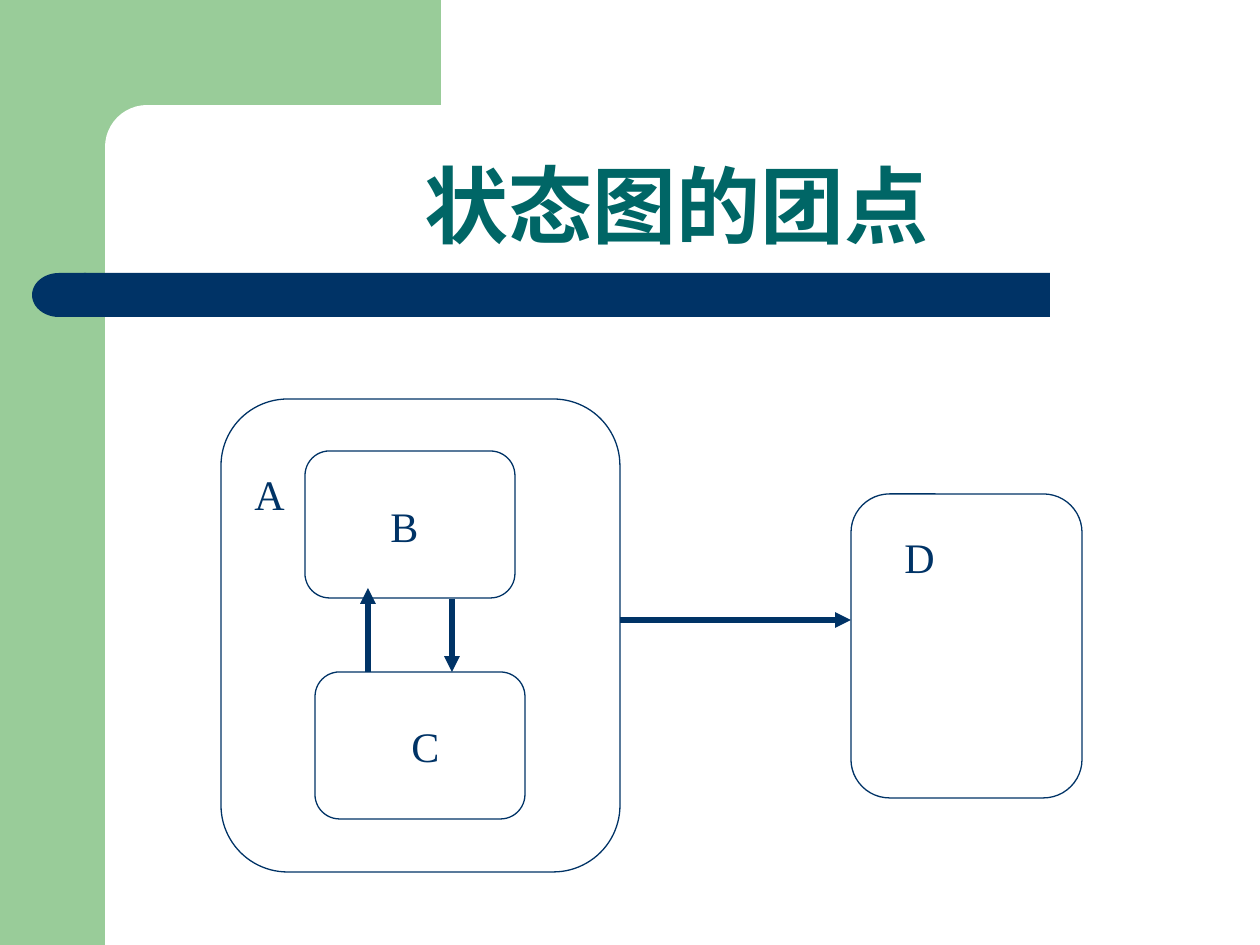
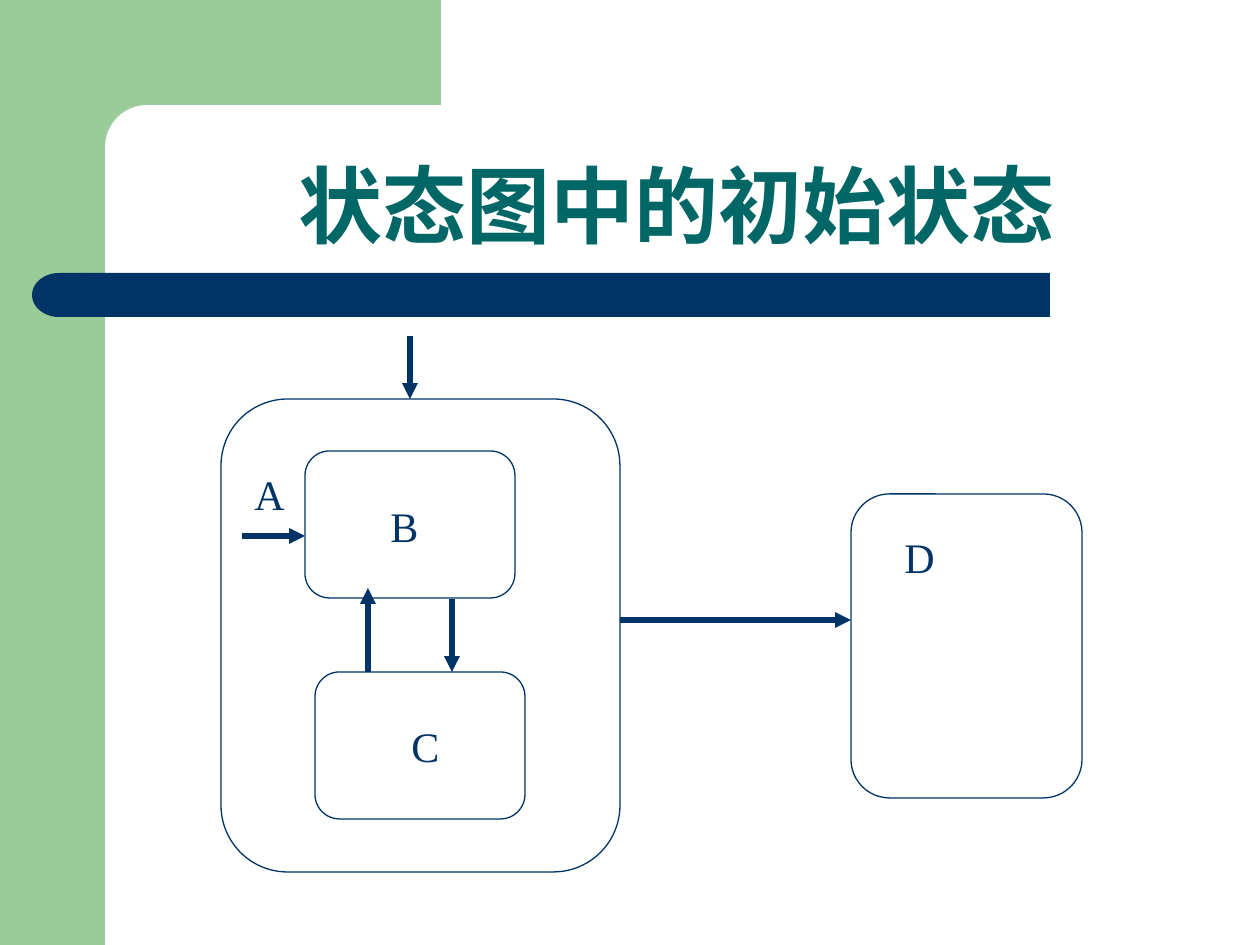
from lxml import etree
from pptx import Presentation
from pptx.dml.color import RGBColor
from pptx.enum.shapes import MSO_CONNECTOR, MSO_SHAPE as SHAPE
from pptx.enum.text import MSO_ANCHOR, PP_ALIGN
from pptx.oxml.ns import qn
from pptx.util import Pt

PX = 914400 // 126
COLORS = {"green": "99CC99", "navy": "003366", "teal": "006666", "white": "FFFFFF"}

# Each band: preset, colour, corner adjustment, rotation, (left, top, width, height)
BANDS = [
    (SHAPE.RECTANGLE, "green", None, 0, (0, 0, 105, 945)),
    (SHAPE.RECTANGLE, "green", None, 0, (95, 0, 346, 147)),
    (SHAPE.ROUNDED_RECTANGLE, "white", 0.5, 0, (105, 105, 703, 84)),
    (SHAPE.RECTANGLE, "navy", None, 0, (84, 273, 966, 44)),
    (SHAPE.FLOWCHART_DELAY, "navy", None, 180, (32, 273, 54, 44)),
]
# Each state: name, outline, left and top of its label
STATES = [
    ("A", (221, 399, 399, 473), (242, 462)),
    ("B", (305, 451, 210, 147), (378, 494)),
    ("C", (315, 672, 210, 147), (399, 714)),
    ("D", (851, 494, 231, 304), (892, 525)),
]
TRANSITIONS = [
    (368, 672, 368, 588),  # C to B
    (452, 599, 452, 672),  # B to C
    (620, 620, 851, 620),  # A to D
]
INITIAL_ARROWS = [
    (410, 336, 410, 399),  # into A
    (242, 536, 305, 536),  # into B
]
PAGES = [
    ("状态图的团点", TRANSITIONS),
    ("状态图中的初始状态", TRANSITIONS + INITIAL_ARROWS),
]


def color(name):
    return RGBColor.from_string(COLORS[name])


def add_text(page, text, frame, font_name, size, color_name, bold=False):
    box = page.shapes.add_textbox(*(v * PX for v in frame))
    para = box.text_frame.paragraphs[0]
    para.text = text
    para.font.name = font_name
    para.font.size = Pt(size)
    para.font.bold = bold
    para.font.color.rgb = color(color_name)
    return box.text_frame


deck = Presentation()
deck.slide_width, deck.slide_height = 1260 * PX, 945 * PX

for title, arrows in PAGES:
    page = deck.slides.add_slide(deck.slide_layouts[6])

    for preset, fill, corner, rotation, frame in BANDS:
        band = page.shapes.add_shape(preset, *(v * PX for v in frame))
        band.shadow.inherit = False
        band.fill.solid()
        band.fill.fore_color.rgb = color(fill)
        band.line.fill.background()
        band.rotation = rotation
        if corner is not None:
            band.adjustments[0] = corner

    heading = add_text(page, title, (126, 105, 1102, 157), "Arial", 48, "teal", bold=True)
    heading.word_wrap = True
    heading.vertical_anchor = MSO_ANCHOR.BOTTOM
    heading.paragraphs[0].alignment = PP_ALIGN.CENTER
    heading.paragraphs[0].line_spacing = 0.9

    for name, frame, (left, top) in STATES:
        state = page.shapes.add_shape(SHAPE.ROUNDED_RECTANGLE, *(v * PX for v in frame))
        state.shadow.inherit = False
        state.adjustments[0] = 0.167
        state.fill.background()
        state.line.color.rgb = color("navy")
        state.line.width = Pt(0.75)
        add_text(page, name, (left, top, 49, 63), "Times New Roman", 24, "navy")

    for ends in arrows:
        arrow = page.shapes.add_connector(MSO_CONNECTOR.STRAIGHT, *(v * PX for v in ends))
        arrow.line.color.rgb = color("navy")
        arrow.line.width = Pt(3)
        etree.SubElement(arrow.line._get_or_add_ln(), qn("a:tailEnd"), type="triangle")
        etree.SubElement(arrow._element.spPr, qn("a:effectLst"))

deck.save("out.pptx")
